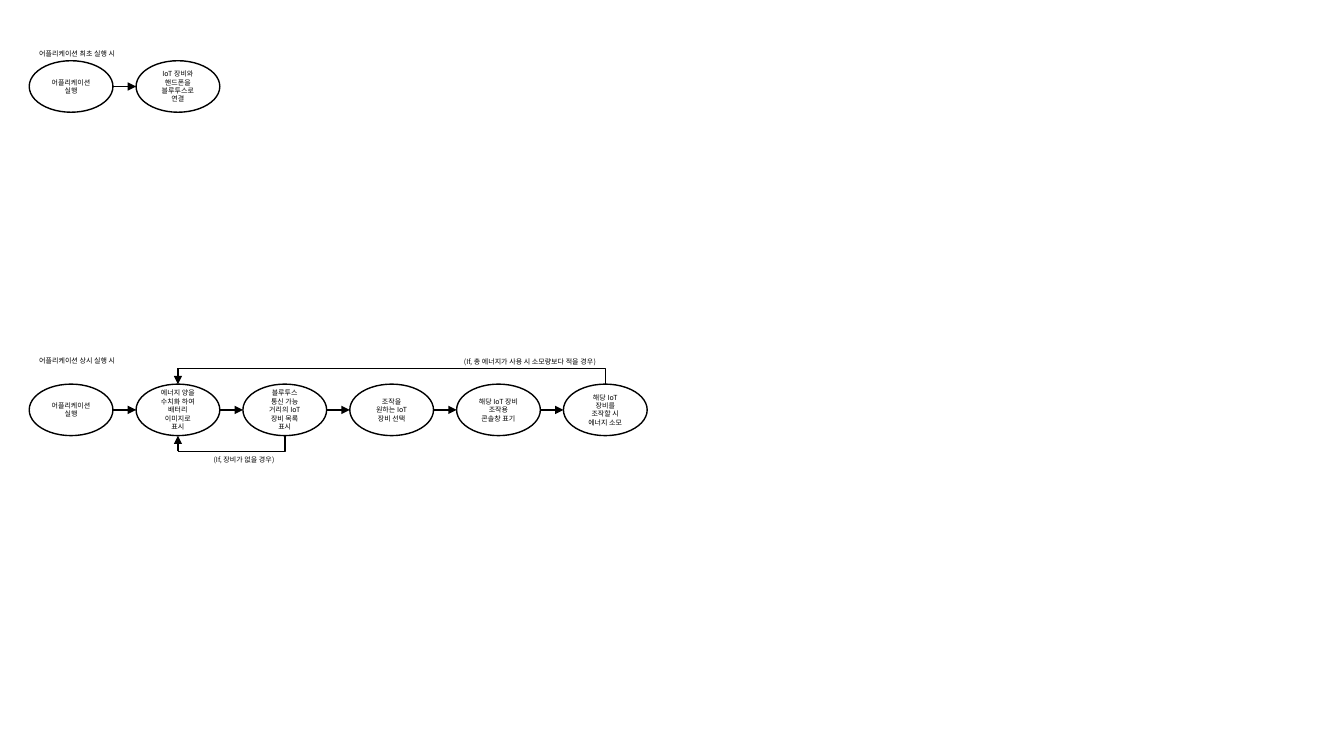
import dataclasses
import typing

import lxml.etree
import pptx
import pptx.dml.color
import pptx.enum.shapes
import pptx.enum.text
import pptx.oxml.ns
import pptx.util

Pt = pptx.util.Pt
qn = pptx.oxml.ns.qn
ALIGN = pptx.enum.text.PP_ALIGN
CONNECTOR = pptx.enum.shapes.MSO_CONNECTOR
BLACK = pptx.dml.color.RGBColor(0x00, 0x00, 0x00)
WHITE = pptx.dml.color.RGBColor(0xFF, 0xFF, 0xFF)
FONT = "Noto Sans CJK KR"

# Lengths in points
LEFT, PITCH = 20.9, 76.32
STEP_W, STEP_H = 59.8, 36.8
LOOP_GAP = 11.2
LABEL_H = 7.2


@dataclasses.dataclass
class Label:
    """A caption beside the steps."""
    text: str
    left: float
    top: float
    width: float
    height: float = LABEL_H
    align: ALIGN = ALIGN.LEFT


@dataclasses.dataclass
class Loop:
    """A way back from one step to an earlier one, above or below the row."""
    source: int
    target: int
    below: bool


@dataclasses.dataclass
class Flow:
    """A row of steps with its loops and captions."""
    top: float
    steps: list[str]
    labels: list[Label]
    loops: list[Loop] = dataclasses.field(default_factory=list)


FLOWS = [
    Flow(
        top=274.4,
        steps=[
            "어플리케이션 실행",
            "에너지 양을 수치화 하여 배터리 이미지로 표시",
            "블루투스 통신 가능 거리의 IoT 장비 목록 표시",
            "조작을 원하는 IoT 장비 선택",
            "해당 IoT 장비 조작용 콘솔창 표기",
            "해당 IoT 장비를 조작할 시 에너지 소모",
        ],
        labels=[
            Label("(If, 총 에너지가 사용 시 소모량보다 적을 경우)",
                  315.4, 252, 117.4, align=ALIGN.RIGHT),
            Label("(If, 장비가 없을 경우)", 139, 322, 64.1, align=ALIGN.RIGHT),
            Label("어플리케이션 상시 실행 시", LEFT, 251.3, 85, 13.7),
        ],
        loops=[Loop(2, 1, below=True), Loop(5, 1, below=False)],
    ),
    Flow(
        top=43.4,
        steps=["어플리케이션 실행", "IoT 장비와 핸드폰을 블루투스로 연결"],
        labels=[Label("어플리케이션 최초 실행 시", LEFT, 31.7, 85)],
    ),
]


def write(tf: typing.Any, text: str, align: ALIGN) -> None:
    """Put one small black paragraph into a text frame."""
    tf.text = text
    tf.word_wrap = True
    p = tf.paragraphs[0]
    p.alignment = align
    r = p.runs[0]
    r.font.name, r.font.size, r.font.color.rgb = FONT, Pt(5), BLACK
    lxml.etree.SubElement(r.font._element, qn("a:ea"), typeface=FONT)


def add_step(shapes: typing.Any, left: float, top: float, text: str) -> None:
    """Draw one step as an outlined ellipse."""
    sp = shapes.add_shape(pptx.enum.shapes.MSO_SHAPE.OVAL,
                          Pt(left), Pt(top), Pt(STEP_W), Pt(STEP_H))
    sp.shadow.inherit = False
    sp.fill.solid()
    sp.fill.fore_color.rgb = WHITE
    sp.line.color.rgb, sp.line.width = BLACK, Pt(1)
    sp.text_frame.vertical_anchor = pptx.enum.text.MSO_ANCHOR.MIDDLE
    write(sp.text_frame, text, ALIGN.CENTER)


def add_label(shapes: typing.Any, label: Label) -> None:
    """Draw a caption."""
    sp = shapes.add_textbox(Pt(label.left), Pt(label.top),
                            Pt(label.width), Pt(label.height))
    write(sp.text_frame, label.text, label.align)
    sp.text_frame.auto_size = pptx.enum.text.MSO_AUTO_SIZE.SHAPE_TO_FIT_TEXT


def add_line(shapes: typing.Any, kind: CONNECTOR, x1: float, y1: float,
             x2: float, y2: float) -> typing.Any:
    """Draw a plain black connector."""
    line = shapes.add_connector(kind, Pt(x1), Pt(y1), Pt(x2), Pt(y2))
    line.line.color.rgb, line.line.width = BLACK, Pt(1)
    lxml.etree.SubElement(line._element.spPr, qn("a:effectLst"))
    return line


def add_arrow(shapes: typing.Any, x1: float, y1: float,
              x2: float, y2: float) -> None:
    """Draw a straight connector with an arrowhead at its end."""
    line = add_line(shapes, CONNECTOR.STRAIGHT, x1, y1, x2, y2)
    lxml.etree.SubElement(line.line._get_or_add_ln(), qn("a:tailEnd"),
                          type="triangle")


def add_corner(shapes: typing.Any, x1: float, y1: float,
               x2: float, y2: float) -> None:
    """Draw a one-bend connector that runs vertically, then to the left."""
    # The frame is turned by a quarter, so its sides swap about the centre.
    cx, cy = (x1 + x2) / 2, (y1 + y2) / 2
    half_w, half_h = (y2 - y1) / 2, (x1 - x2) / 2
    down = half_w > 0
    half_w = abs(half_w)
    rise = half_h if down else -half_h
    line = add_line(shapes, CONNECTOR.ELBOW, cx - half_w, cy - rise,
                    cx + half_w, cy + rise)
    line._element.spPr.find(qn("a:prstGeom")).set("prst", "bentConnector2")
    line._element.spPr.find(qn("a:xfrm")).set(
        "rot", str((90 if down else 270) * 60000))


def add_loop(shapes: typing.Any, loop: Loop, top: float) -> None:
    """Draw a way back: a corner, then an arrow into the target step."""
    edge = top + STEP_H if loop.below else top
    lane = edge + LOOP_GAP if loop.below else edge - LOOP_GAP
    start, end = (LEFT + i * PITCH + STEP_W / 2
                  for i in (loop.source, loop.target))
    add_corner(shapes, start, edge, end, lane)
    add_arrow(shapes, end, lane, end, edge)


def add_flow(s: typing.Any, flow: Flow) -> None:
    """Draw a whole flow as one group."""
    shapes = s.shapes.add_group_shape().shapes
    lefts = [LEFT + i * PITCH for i in range(len(flow.steps))]
    for left, text in zip(lefts, flow.steps):
        add_step(shapes, left, flow.top, text)
    middle = flow.top + STEP_H / 2
    for left in lefts[1:]:
        add_arrow(shapes, left - PITCH + STEP_W, middle, left, middle)
    for loop in flow.loops:
        add_loop(shapes, loop, flow.top)
    for label in flow.labels:
        add_label(shapes, label)


prs = pptx.Presentation()
prs.slide_width, prs.slide_height = Pt(960), Pt(540)
s = prs.slides.add_slide(prs.slide_layouts[6])
for flow in FLOWS:
    add_flow(s, flow)
prs.save("out.pptx")
